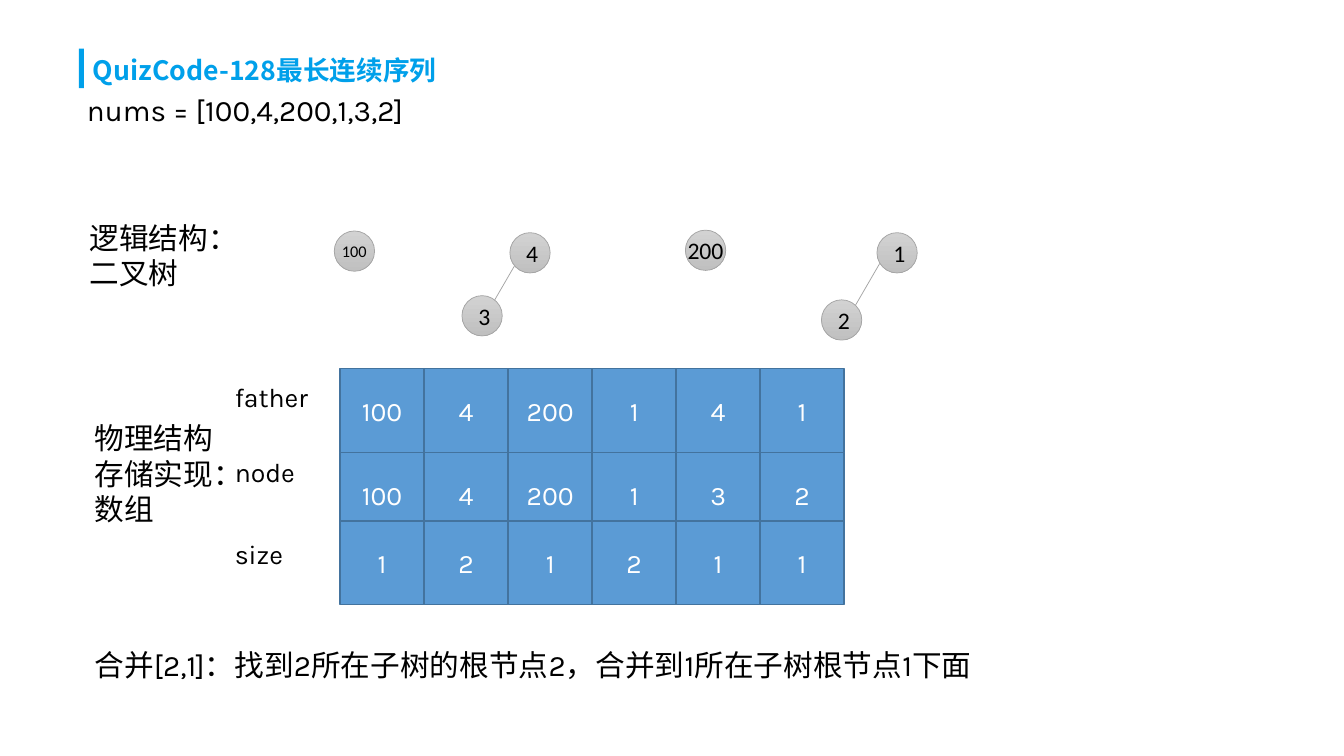
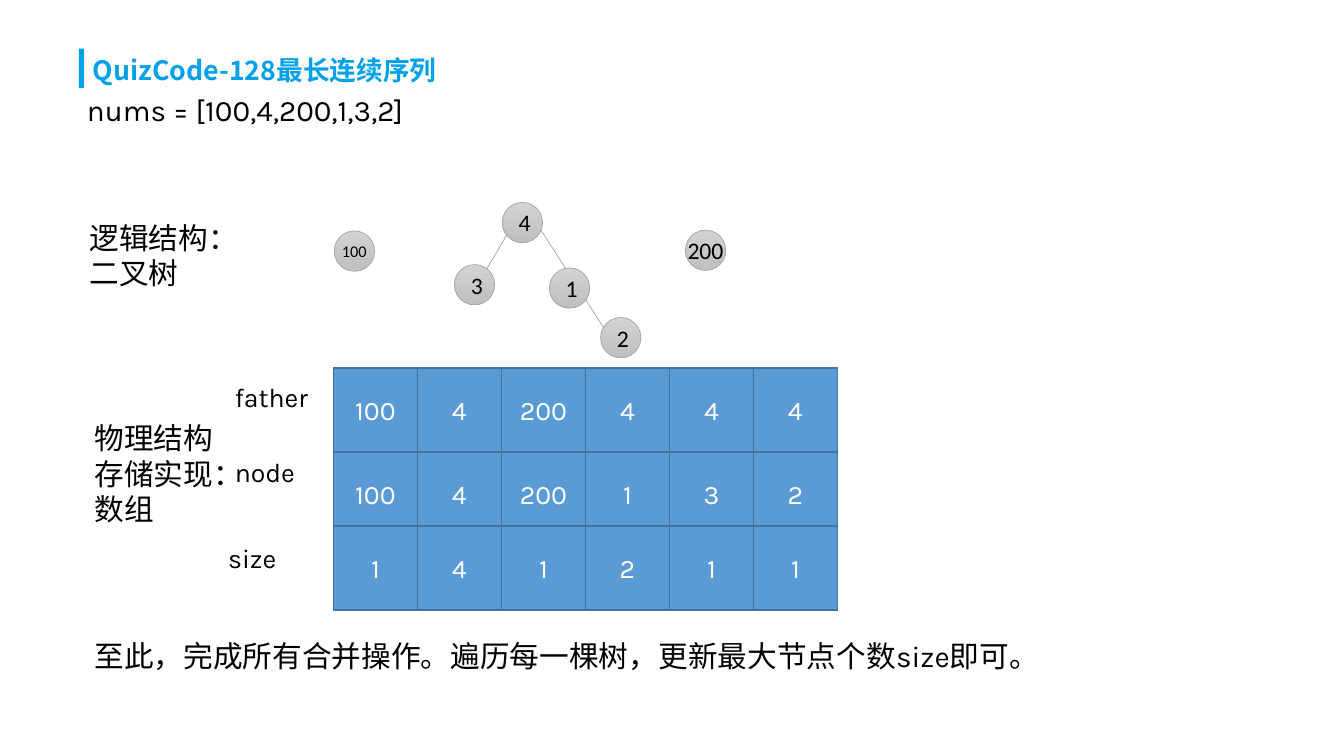
import dataclasses

import lxml.etree
import pptx
import pptx.dml.color
import pptx.enum.shapes
import pptx.enum.text
import pptx.oxml.ns
import pptx.util

ANCHOR = pptx.enum.text.MSO_ANCHOR
ALIGN = pptx.enum.text.PP_ALIGN
SHAPE = pptx.enum.shapes.MSO_SHAPE


@dataclasses.dataclass(frozen=True)
class TextStyle:
    font: str
    size: int
    color: str
    bold: bool = False


@dataclasses.dataclass(frozen=True)
class Theme:
    accent: str = "00A0EA"
    cell_fill: str = "5B9BD5"
    cell_line: str = "43739E"
    node_line: str = "A5A5A5"
    node_shades: tuple = ("D2D2D2", "C0C0C0")
    title: TextStyle = TextStyle("Noto Sans CJK JP", 18, "00A0EA", True)
    body: TextStyle = TextStyle("Karla", 20, "000000")
    row_label: TextStyle = TextStyle("Karla", 18, "000000")
    cell: TextStyle = TextStyle("Karla", 18, "FFFFFF")
    node: TextStyle = TextStyle("Calibri", 16, "000000")
    small_node: TextStyle = TextStyle("Calibri", 11, "000000")


def rgb(value):
    return pptx.dml.color.RGBColor.from_string(value)


class Deck:
    WIDTH, HEIGHT = 12.6, 7.09
    COLUMNS, ROWS = 16, 9
    NODE_SIZE = 0.48

    def __init__(self, theme):
        self.theme = theme
        self.presentation = pptx.Presentation()
        self.presentation.slide_width = pptx.util.Inches(self.WIDTH)
        self.presentation.slide_height = pptx.util.Inches(self.HEIGHT)
        self.slide = None

    def grid(self, *lengths):
        units = (self.WIDTH / self.COLUMNS, self.HEIGHT / self.ROWS)
        return [pptx.util.Inches(length * units[i % 2]) for i, length in enumerate(lengths)]

    def set_text(self, shape, text, style, align=ALIGN.LEFT, anchor=ANCHOR.TOP, wrap=True):
        frame = shape.text_frame
        frame.text = text
        frame.word_wrap = wrap
        frame.vertical_anchor = anchor
        paragraph = frame.paragraphs[0]
        paragraph.alignment = align
        for run in paragraph.runs:
            run.font.name = style.font
            run.font.size = pptx.util.Pt(style.size)
            run.font.bold = style.bold
            run.font.color.rgb = rgb(style.color)
            latin = run.font._element.find(pptx.oxml.ns.qn("a:latin"))
            east_asian = lxml.etree.Element(pptx.oxml.ns.qn("a:ea"), typeface=style.font)
            latin.addnext(east_asian)

    def shape(self, kind, left, top, width, height):
        shape = self.slide.shapes.add_shape(kind, *self.grid(left, top, width, height))
        shape.shadow.inherit = False
        return shape

    def new_slide(self, title):
        self.slide = self.presentation.slides.add_slide(self.presentation.slide_layouts[5])
        heading = self.slide.shapes.title
        heading.left, heading.top, heading.width, heading.height = self.grid(0.98, 0.58, 8, 0.9)
        self.set_text(heading, title, self.theme.title)
        heading.text_frame.auto_size = pptx.enum.text.MSO_AUTO_SIZE.NONE
        bar = self.shape(SHAPE.RECTANGLE, 0.94, 0.58, 0.06, 0.47)
        bar.fill.solid()
        bar.fill.fore_color.rgb = rgb(self.theme.accent)
        bar.line.fill.background()

    def text(self, content, left, top, width, height, style=None):
        box = self.slide.shapes.add_textbox(*self.grid(left, top, width, height))
        self.set_text(box, content, style or self.theme.body)

    def edge(self, *ends):
        line = self.slide.shapes.add_connector(
            pptx.enum.shapes.MSO_CONNECTOR.STRAIGHT, *self.grid(*ends))
        line.line.color.rgb = rgb(self.theme.node_line)
        line.line.width = pptx.util.Pt(0.5)
        lxml.etree.SubElement(line._element.spPr, pptx.oxml.ns.qn("a:effectLst"))

    def node(self, value, left, top):
        circle = self.shape(SHAPE.OVAL, left, top, self.NODE_SIZE, self.NODE_SIZE)
        circle.fill.gradient()
        circle.fill.gradient_angle = 270
        for stop, shade in zip(circle.fill.gradient_stops, self.theme.node_shades):
            stop.color.rgb = rgb(shade)
        circle.line.color.rgb = rgb(self.theme.node_line)
        circle.line.width = pptx.util.Pt(0.5)
        style = self.theme.small_node if value == 100 else self.theme.node
        self.set_text(circle, str(value), style, ALIGN.CENTER, ANCHOR.MIDDLE, wrap=value < 100)

    def forest(self, edges, nodes):
        for ends in edges:
            self.edge(*ends)
        for node in nodes:
            self.node(*node)

    def array_row(self, values, left, top):
        for column, value in enumerate(values):
            cell = self.shape(SHAPE.RECTANGLE, left + column, top, 1, 1)
            cell.fill.solid()
            cell.fill.fore_color.rgb = rgb(self.theme.cell_fill)
            cell.line.color.rgb = rgb(self.theme.cell_line)
            cell.line.width = pptx.util.Pt(1)
            self.set_text(cell, str(value), self.theme.cell, ALIGN.CENTER, ANCHOR.MIDDLE)

    def arrays(self, left, rows):
        for name, label_left, label_top, top, values in rows:
            self.array_row(values, left, top)
            self.text(name, label_left, label_top, 1.3, 0.51, self.theme.row_label)

    def union_step(self, edges, nodes, array_left, rows, conclusion, conclusion_top):
        self.new_slide("QuizCode-128最长连续序列")
        self.text("nums = [100,4,200,1,3,2]", 0.91, 1.03, 12.94, 1.59)
        self.text("逻辑结构：二叉树", 0.94, 2.55, 2.1, 0.98)
        self.text("物理结构存储实现：数组", 1, 4.94, 1.96, 1.41)
        self.forest(edges, [(100, 3.98, 2.75), (200, 8.16, 2.74), *nodes])
        self.arrays(array_left, rows)
        self.text(conclusion, 1, conclusion_top, 12.94, 0.56)


def main():
    deck = Deck(Theme())
    members = [100, 4, 200, 1, 3, 2]
    deck.union_step(
        edges=[(10.57, 2.97, 10.1, 3.78), (6.25, 2.95, 5.78, 3.76)],
        nodes=[(4, 6.07, 2.77), (3, 5.5, 3.52), (1, 10.44, 2.77), (2, 9.78, 3.57)],
        array_left=4.05,
        rows=[
            ("father", 2.67, 4.47, 4.39, [100, 4, 200, 1, 4, 1]),
            ("node", 2.67, 5.37, 5.39, members),
            ("size", 2.67, 6.34, 6.2, [1, 2, 1, 2, 1, 1]),
        ],
        conclusion="合并[2,1]：找到2所在子树的根节点2，合并到1所在子树根节点1下面",
        conclusion_top=7.64,
    )
    deck.union_step(
        edges=[(6.37, 2.63, 7.25, 4), (6.16, 2.58, 5.68, 3.4)],
        nodes=[(4, 5.98, 2.41), (1, 6.54, 3.19), (3, 5.41, 3.15), (2, 7.15, 3.78)],
        array_left=3.97,
        rows=[
            ("father", 2.67, 4.47, 4.38, [100, 4, 200, 4, 4, 4]),
            ("node", 2.67, 5.37, 5.38, members),
            ("size", 2.59, 6.39, 6.26, [1, 4, 1, 2, 1, 1]),
        ],
        conclusion="至此，完成所有合并操作。遍历每一棵树，更新最大节点个数size即可。",
        conclusion_top=7.53,
    )
    deck.presentation.save("out.pptx")


if __name__ == "__main__":
    main()
